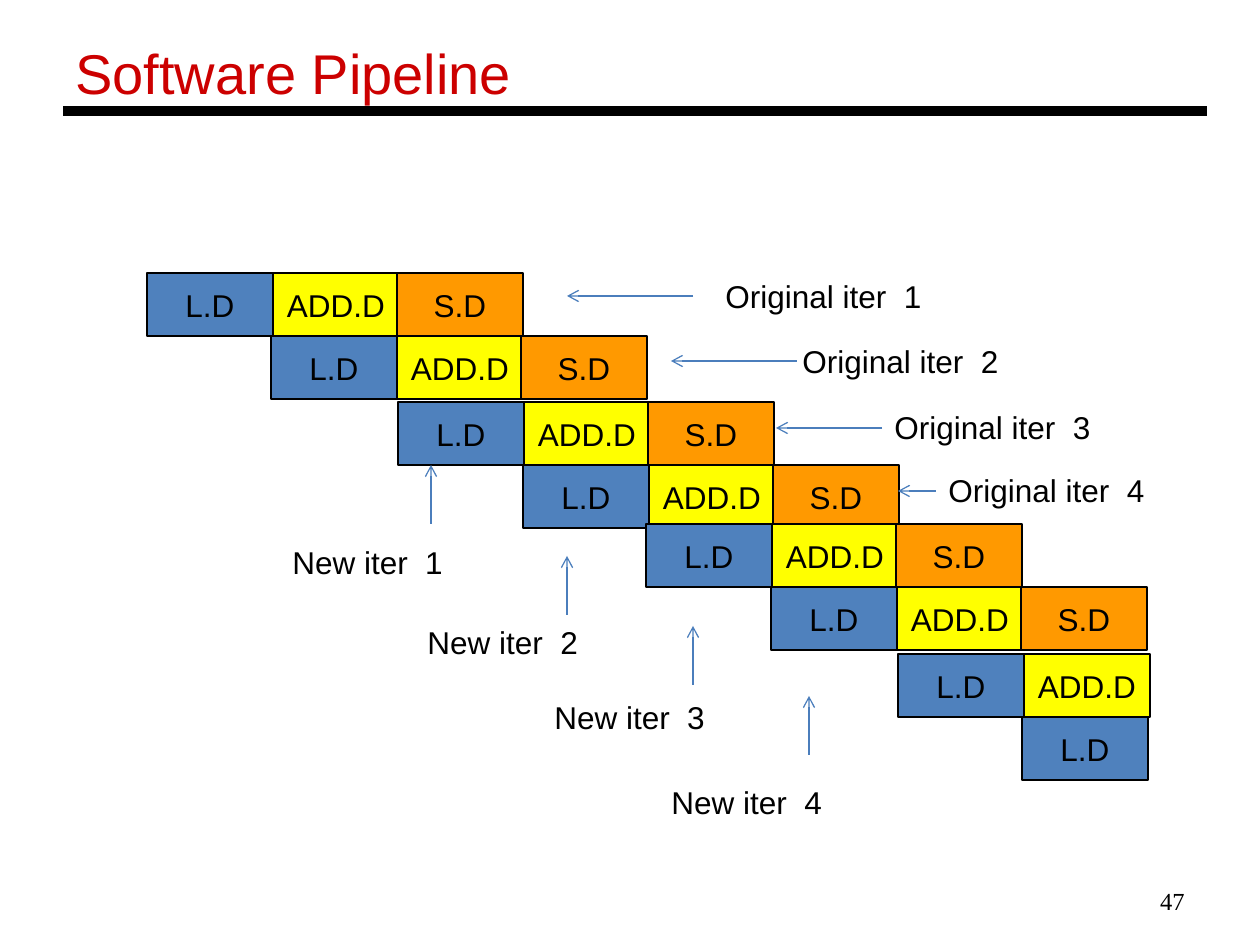
from lxml import etree
from pptx import Presentation
from pptx.dml.color import RGBColor
from pptx.enum.shapes import MSO_CONNECTOR, MSO_SHAPE
from pptx.enum.text import MSO_ANCHOR, MSO_AUTO_SIZE, PP_ALIGN
from pptx.oxml.ns import qn
from pptx.util import Emu, Pt

RECTANGLE = MSO_SHAPE.RECTANGLE
STRAIGHT = MSO_CONNECTOR.STRAIGHT
MIDDLE = MSO_ANCHOR.MIDDLE
FIT_SHAPE = MSO_AUTO_SIZE.SHAPE_TO_FIT_TEXT
LEFT, CENTER, RIGHT = PP_ALIGN.LEFT, PP_ALIGN.CENTER, PP_ALIGN.RIGHT

PX_PER_INCH = 126
BLACK = "000000"
RED = "CC0000"
ARROW_BLUE = "4B7EBC"
STAGE_W, STAGE_H = 126, 63
LABEL_H = 50

STAGES = [("L.D", "4F81BD", 0), ("ADD.D", "FFFF00", 126), ("S.D", "FF9900", 250)]
ITERATIONS = [
    (147, 273, 3), (271, 336, 3), (398, 402, 3), (523, 465, 3),
    (646, 524, 3), (771, 587, 3), (898, 654, 2), (1022, 717, 1),
]
ORIGINAL_LABELS = [(713, 271), (790, 336), (882, 402), (936, 465)]
NEW_LABELS = [(280, 537), (415, 617), (542, 692), (659, 777)]
ORIGINAL_ARROWS = [(693, 567, 296), (797, 671, 361), (882, 776, 428), (936, 898, 491)]
NEW_ARROWS = [(431, 465), (567, 556), (693, 626), (809, 696)]
NEW_ARROW_LENGTH = 59


def px(length):
    return Emu(round(length * 914400 / PX_PER_INCH))


def color(hex_code):
    return RGBColor.from_string(hex_code)


def write(frame, text, size, hue=BLACK, font="Arial", align=LEFT):
    frame.text = text
    paragraph = frame.paragraphs[0]
    paragraph.alignment = align
    run_font = paragraph.runs[0].font
    run_font.name = font
    run_font.size = Pt(size)
    run_font.color.rgb = color(hue)


def add_label(slide, text, left, top, width, height=LABEL_H, size=18, hue=BLACK):
    frame = slide.shapes.add_textbox(px(left), px(top), px(width), px(height)).text_frame
    frame.word_wrap = False
    frame.auto_size = FIT_SHAPE
    write(frame, text, size, hue)


def add_page_number(slide, number):
    frame = slide.shapes.add_textbox(px(903), px(876), px(294), px(LABEL_H)).text_frame
    frame.word_wrap = True
    frame.vertical_anchor = MIDDLE
    write(frame, number, 14, font="Times New Roman", align=RIGHT)


def add_stage(slide, name, fill, left, top):
    stage = slide.shapes.add_shape(RECTANGLE, px(left), px(top), px(STAGE_W), px(STAGE_H))
    stage.shadow.inherit = False
    stage.fill.solid()
    stage.fill.fore_color.rgb = color(fill)
    stage.line.color.rgb = color(BLACK)
    stage.line.width = Pt(0.75)
    stage.text_frame.word_wrap = False
    stage.text_frame.vertical_anchor = MIDDLE
    write(stage.text_frame, name, 18, align=CENTER)


def add_line(slide, start, end, hue, width):
    line = slide.shapes.add_connector(STRAIGHT, *map(px, start + end))
    line.line.color.rgb = color(hue)
    line.line.width = Pt(width)
    etree.SubElement(line._element.spPr, qn("a:effectLst"))
    return line


def add_arrow(slide, start, end):
    arrow = add_line(slide, start, end, ARROW_BLUE, 0.75)
    etree.SubElement(arrow.line._get_or_add_ln(), qn("a:tailEnd"), type="arrow")


def main():
    deck = Presentation()
    deck.slide_width, deck.slide_height = px(1260), px(945)
    slide = deck.slides.add_slide(deck.slide_layouts[6])

    add_page_number(slide, "47")
    add_label(slide, "Software Pipeline", 63, 32, 465, 80, 32, RED)
    add_line(slide, (63, 111), (1207, 111), BLACK, 6)

    for left, top, stage_count in ITERATIONS:
        for name, fill, offset in STAGES[:stage_count]:
            add_stage(slide, name, fill, left + offset, top)

    for number, (left, top) in enumerate(ORIGINAL_LABELS, 1):
        add_label(slide, f"Original iter  {number}", left, top, 223)
    for number, (left, top) in enumerate(NEW_LABELS, 1):
        add_label(slide, f"New iter  {number}", left, top, 178)

    for start_x, end_x, y in ORIGINAL_ARROWS:
        add_arrow(slide, (start_x, y), (end_x, y))
    for x, tip_y in NEW_ARROWS:
        add_arrow(slide, (x, tip_y + NEW_ARROW_LENGTH), (x, tip_y))

    deck.save("out.pptx")


if __name__ == "__main__":
    main()
